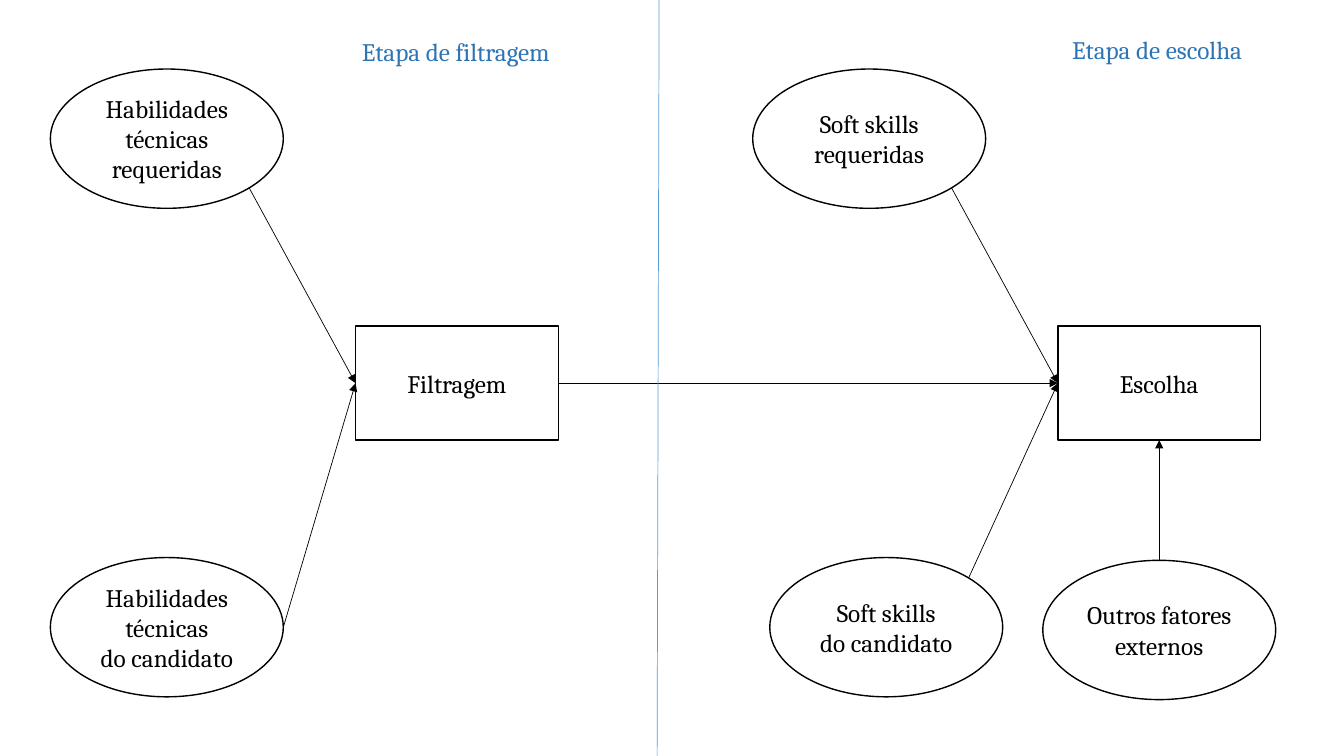
from math import cos, sin, radians
from lxml.etree import SubElement
from pptx import Presentation
from pptx.dml.color import RGBColor as RGB
from pptx.enum.shapes import MSO_CONNECTOR as LINK, MSO_SHAPE as FORM
from pptx.enum.text import MSO_ANCHOR as ANCHOR, MSO_AUTO_SIZE as AUTO, PP_ALIGN as ALIGN
from pptx.oxml.ns import qn
from pptx.util import Cm, Pt

HUES = {"ink": "000000", "paper": "FFFFFF", "title": "2E75B6", "split": "5B9BD5"}
FONT = {"name": "Cambria", "size": Pt(18)}
OVAL = (5.87, 3.51)
STEP = (5.11, 2.87)

deck = Presentation()
deck.slide_width, deck.slide_height = Cm(33.87), Cm(19.05)
slide = deck.slides.add_slide(deck.slide_layouts[6])
items = slide.shapes


def write(frame, text, hue, align):
    frame.text = text
    for para in frame.paragraphs:
        para.alignment = align
        for key, value in FONT.items():
            setattr(para.font, key, value)
        para.font.color.rgb = RGB.from_string(HUES[hue])


def draw(start, end, hue):
    line = items.add_connector(LINK.STRAIGHT, *map(Cm, start + end))
    line.line.width = Pt(0.5)
    line.line.color.rgb = RGB.from_string(HUES[hue])
    SubElement(line._element.spPr, qn("a:effectLst"))
    return line


nodes = {}
for name, form, size, left, top, text in [
    ("asked", FORM.OVAL, OVAL, 1.27, 1.74, "Habilidades técnicas requeridas"),
    ("owned", FORM.OVAL, OVAL, 1.27, 14.05, "Habilidades técnicas\ndo candidato"),
    ("filter", FORM.RECTANGLE, STEP, 8.96, 8.22, "Filtragem"),
    ("soft asked", FORM.OVAL, OVAL, 18.97, 1.74, "Soft skills requeridas"),
    ("others", FORM.OVAL, OVAL, 26.28, 14.12, "Outros fatores externos"),
    ("choice", FORM.RECTANGLE, STEP, 26.66, 8.22, "Escolha"),
    ("soft owned", FORM.OVAL, OVAL, 19.4, 14.05, "Soft skills\ndo candidato"),
]:
    node = items.add_shape(form, *map(Cm, (left, top) + size))
    node.shadow.inherit = False
    node.fill.solid()
    node.fill.fore_color.rgb = RGB.from_string(HUES["paper"])
    node.line.color.rgb = RGB.from_string(HUES["ink"])
    node.line.width = Pt(1)
    node.text_frame.word_wrap = True
    node.text_frame.vertical_anchor = ANCHOR.MIDDLE
    write(node.text_frame, text, "ink", ALIGN.CENTER)
    nodes[name] = node

WEST, SOUTH, EAST = 1, 2, 3
for source, angle, target, site in [
    ("asked", 45, "filter", WEST),
    ("owned", 0, "filter", WEST),
    ("soft asked", 45, "choice", WEST),
    ("soft owned", -45, "choice", WEST),
    ("filter", None, "choice", WEST),
    ("others", -90, "choice", SOUTH),
]:
    node = nodes[source]
    turn = radians(angle or 0)
    start = (
        node.left.cm + node.width.cm / 2 * (1 + cos(turn)),
        node.top.cm + node.height.cm / 2 * (1 + sin(turn)),
    )
    arrow = draw(start, start, "ink")
    if angle is None:
        arrow.begin_connect(node, EAST)
    arrow.end_connect(nodes[target], site)
    SubElement(arrow._element.spPr.get_or_add_ln(), qn("a:tailEnd"), type="triangle")

draw((16.61, 0), (16.56, 19.05), "split")

for text, left, top, width in [
    ("Etapa de filtragem", 8.87, 0.79, 5.77),
    ("Etapa de escolha", 26.77, 0.74, 5.26),
]:
    title = items.add_textbox(*map(Cm, (left, top, width, 1.02)))
    title.text_frame.word_wrap = False
    title.text_frame.auto_size = AUTO.SHAPE_TO_FIT_TEXT
    write(title.text_frame, text, "title", ALIGN.LEFT)

deck.save("out.pptx")
